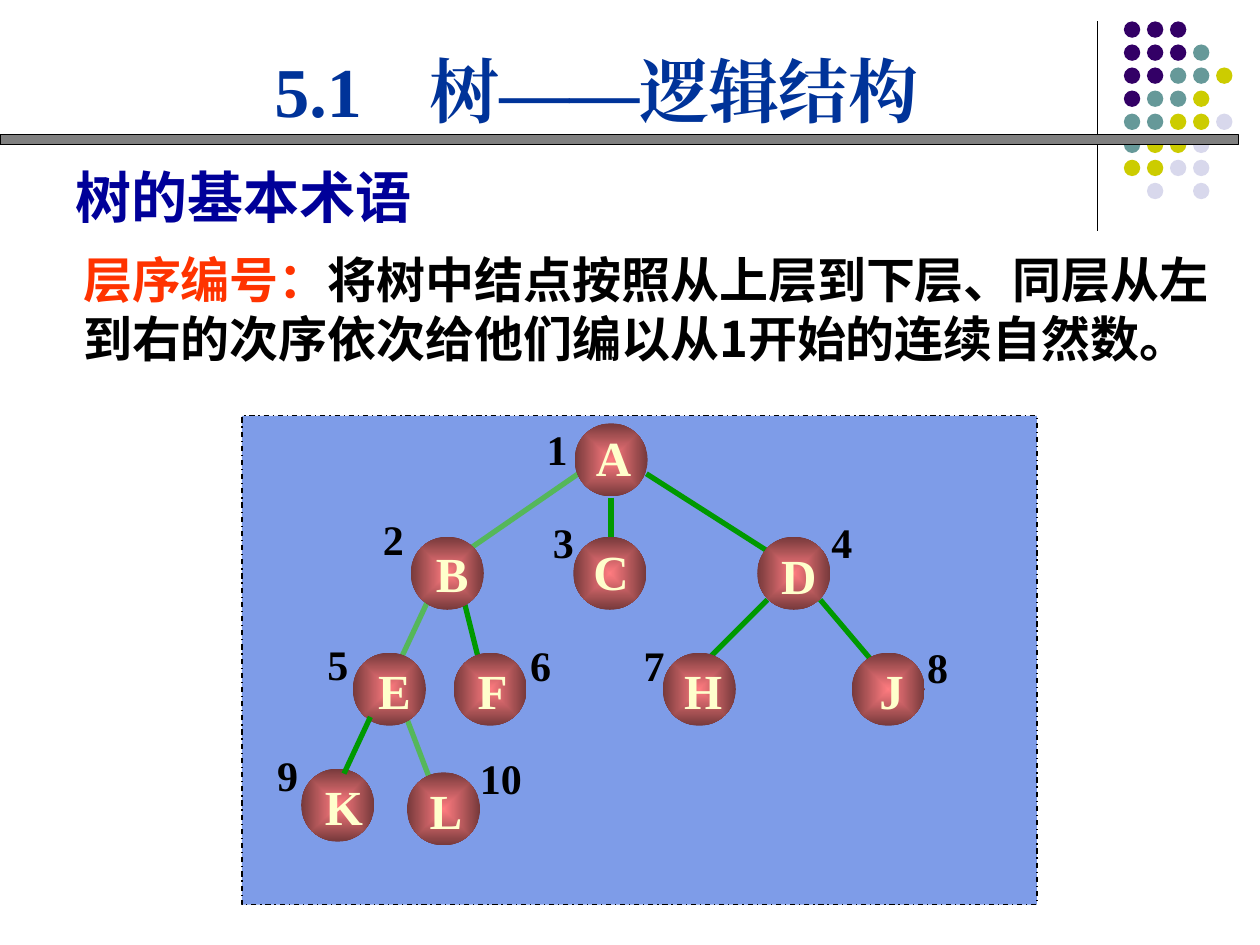
from lxml import etree
from pptx import Presentation, util as u
from pptx.dml.color import RGBColor
from pptx.enum import dml, shapes, text
from pptx.oxml import parse_xml
from pptx.oxml.ns import nsdecls, qn

COLORS = {
    "black": "000000", "bar": "808080", "panel": "7E9CE8",
    "purple": "330066", "teal": "669999", "olive": "CCCC00", "lilac": "D8D8EC",
    "node_in": "FF7C80", "node_out": "76393B", "letter": "FFFFCC",
    "edge": "009900", "edge_light": "55B75A",
    "title": "003399", "subtitle": "000099", "term": "FF3300",
}
SERIF, SANS, CJK = "Times New Roman", "Arial", "Noto Sans CJK SC"
DOTS = ["PPP", "PPPT", "PPTTO", "PTTO", "TTOOL", "TOOL", "OOLL", " L L"]
DOT_COLORS = {"P": "purple", "T": "teal", "O": "olive", "L": "lilac"}
DOT, DOT_PITCH = 0.13, 0.183
NODE = 0.58
# letter, circle left and top, letter box left, top and width
NODES = [
    ("A", 4.56, 3.36, 4.63, 3.34, 0.48),
    ("B", 3.26, 4.26, 3.36, 4.26, 0.46),
    ("C", 4.55, 4.26, 4.61, 4.25, 0.48),
    ("D", 6.01, 4.26, 6.10, 4.28, 0.48),
    ("E", 2.80, 5.18, 2.90, 5.19, 0.46),
    ("F", 3.60, 5.18, 3.69, 5.19, 0.44),
    ("H", 5.26, 5.18, 5.33, 5.19, 0.50),
    ("J", 6.76, 5.18, 6.88, 5.19, 0.39),
    ("K", 2.39, 6.10, 2.48, 6.11, 0.50),
    ("L", 3.23, 6.13, 3.31, 6.14, 0.46),
]
EDGES = [
    (6.51, 4.76, 7.01, 5.35, "edge"),
    (6.09, 4.76, 5.59, 5.26, "edge"),
    (5.13, 3.76, 6.18, 4.43, "edge"),
    (4.59, 3.76, 3.75, 4.34, "edge_light"),
    (4.85, 3.95, 4.85, 4.28, "edge"),
    (3.68, 4.76, 3.83, 5.36, "edge"),
    (3.22, 5.68, 3.41, 6.18, "edge_light"),
    (3.40, 4.76, 3.19, 5.21, "edge_light"),
]
FRONT_EDGE = (2.94, 5.69, 2.73, 6.14, "edge")
# left and top of the numbers 1 to 10, in level order
NUMBERS = [(4.24, 3.31), (2.94, 4.03), (4.29, 4.05), (6.5, 4.05), (2.5, 5.02),
           (4.11, 5.03), (5.01, 5.03), (7.26, 5.04), (2.1, 5.9), (3.71, 5.92)]


def rgb(name):
    return RGBColor.from_string(COLORS[name])


class TreeSlide:
    def __init__(self, s):
        self.s = s

    def shape(self, kind, x, y, w, h, fill, line=None, dash=None):
        sp = self.s.shapes.add_shape(kind, *map(u.Inches, (x, y, w, h)))
        sp.shadow.inherit = False
        sp.fill.solid()
        sp.fill.fore_color.rgb = rgb(fill)
        if line:
            sp.line.color.rgb = rgb(line)
            sp.line.width = u.Pt(0.75)
            if dash:
                sp.line.dash_style = dash
        else:
            sp.line.fill.background()
        return sp

    def rect(self, *args, **style):
        return self.shape(shapes.MSO_SHAPE.RECTANGLE, *args, **style)

    def circle(self, x, y, size, fill):
        return self.shape(shapes.MSO_SHAPE.OVAL, x, y, size, size, fill)

    def line(self, x1, y1, x2, y2, color, width=3):
        cx = self.s.shapes.add_connector(
            shapes.MSO_CONNECTOR.STRAIGHT, *map(u.Inches, (x1, y1, x2, y2)))
        cx.line.color.rgb = rgb(color)
        cx.line.width = u.Pt(width)
        etree.SubElement(cx._element.spPr, qn("a:effectLst"))

    def text(self, x, y, w, h, runs, size, font=SERIF, inset=0.1, tab=None,
             align=text.PP_ALIGN.LEFT, anchor=text.MSO_ANCHOR.TOP, wrap=True):
        """Add one bold paragraph; runs is a list of (words, colour name)."""
        box = self.s.shapes.add_textbox(*map(u.Inches, (x, y, w, h)))
        tf = box.text_frame
        tf.word_wrap = wrap
        tf.vertical_anchor = anchor
        tf.margin_left = tf.margin_right = u.Inches(inset)
        p = tf.paragraphs[0]
        p.alignment = align
        if tab:
            tabs = etree.SubElement(p._p.get_or_add_pPr(), qn("a:tabLst"))
            etree.SubElement(tabs, qn("a:tab"), pos=str(u.Inches(tab)), algn="l")
        p.font.size, p.font.bold, p.font.name = u.Pt(size), True, font
        etree.SubElement(p.font._element, qn("a:ea"), typeface=font)
        for words, color in runs:
            r = p.add_run()
            r.text = words
            r.font.color.rgb = rgb(color)

    def node(self, letter, x, y, text_x, text_y, text_w):
        sp = self.circle(x, y, NODE, "node_in")
        solid = sp._element.spPr.find(qn("a:solidFill"))
        solid.getparent().replace(solid, parse_xml(
            f'<a:gradFill {nsdecls("a")} rotWithShape="1"><a:gsLst>'
            f'<a:gs pos="0"><a:srgbClr val="{COLORS["node_in"]}"/></a:gs>'
            f'<a:gs pos="100000"><a:srgbClr val="{COLORS["node_out"]}"/></a:gs>'
            '</a:gsLst><a:path path="rect">'
            '<a:fillToRect l="50000" t="50000" r="50000" b="50000"/>'
            '</a:path></a:gradFill>'))
        self.text(text_x, text_y, text_w, 0.57, [(letter, "letter")], 28, wrap=False,
                  align=text.PP_ALIGN.CENTER, anchor=text.MSO_ANCHOR.MIDDLE)


def main():
    prs = Presentation()
    prs.slide_width, prs.slide_height = u.Inches(10), u.Inches(7.5)
    slide = TreeSlide(prs.slides.add_slide(prs.slide_layouts[6]))

    slide.line(8.71, 0.17, 8.71, 1.83, "black", 0.75)
    for row, codes in enumerate(DOTS):
        for col, code in enumerate(codes):
            if code in DOT_COLORS:
                slide.circle(8.92 + col * DOT_PITCH, 0.17 + row * DOT_PITCH,
                             DOT, DOT_COLORS[code])
    slide.rect(0, 1.07, 9.83, 0.08, "bar", line="black")

    slide.rect(1.92, 3.3, 6.31, 3.88, "panel", line="black",
               dash=dml.MSO_LINE.DASH_DOT)
    for edge in EDGES:
        slide.line(*edge)
    for node in NODES:
        slide.node(*node)
    slide.line(*FRONT_EDGE)
    for number, (x, y) in enumerate(NUMBERS, 1):
        slide.text(x, y, 0.39 if number < 10 else 0.56, 0.5,
                   [(str(number), "black")], 24)

    slide.text(0.66, 1.93, 9.11, 1.04, [
        ("层序编号：", "term"),
        ("将树中结点按照从上层到下层、同层从左到右的次序依次给他们编以从1开始的连续自然数。",
         "black")], 28, font=CJK, inset=0)
    slide.text(2.08, 0.33, 5.41, 0.77, [("5.1\t树——逻辑结构", "title")], 40, tab=1.23)
    slide.text(0.5, 1.24, 4.33, 0.64, [("树的基本术语", "subtitle")], 32, font=SANS)
    prs.save("out.pptx")


if __name__ == "__main__":
    main()
